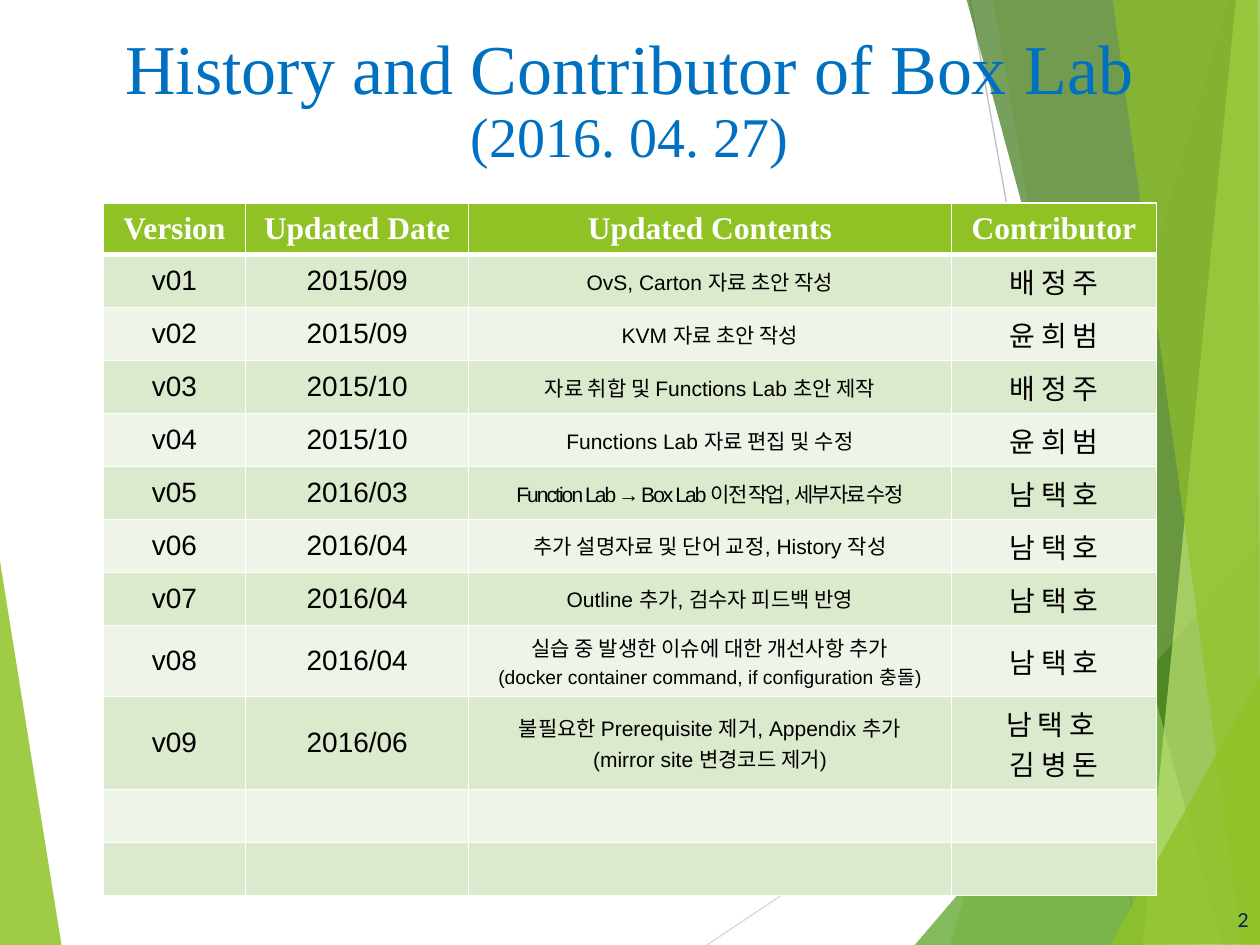
from lxml import etree
from pptx import Presentation
from pptx.dml.color import RGBColor
from pptx.enum.shapes import MSO_CONNECTOR
from pptx.enum.text import MSO_ANCHOR, MSO_AUTO_SIZE, PP_ALIGN
from pptx.oxml.ns import qn
from pptx.util import Inches, Pt

GREEN = RGBColor(0x90, 0xC2, 0x26)
MID_GREEN = RGBColor(0x54, 0xA0, 0x21)
DARK_GREEN = RGBColor(0x3F, 0x78, 0x19)
LIME = RGBColor(0xC0, 0xE4, 0x74)
BAND_DARK = RGBColor(0xDB, 0xE9, 0xCD)
BAND_LIGHT = RGBColor(0xEE, 0xF4, 0xE8)
LIGHT_GRAY = RGBColor(0xD9, 0xD9, 0xD9)
GRAY = RGBColor(0xBF, 0xBF, 0xBF)
BLUE = RGBColor(0x00, 0x70, 0xC0)
NAVY = RGBColor(0x00, 0x20, 0x60)
WHITE = RGBColor(0xFF, 0xFF, 0xFF)
BLACK = RGBColor(0x00, 0x00, 0x00)


def add_text(paragraph, text, size, font_name, color, bold=False, align=PP_ALIGN.CENTER):
    paragraph.alignment = align
    run = paragraph.add_run()
    run.text = text
    run.font.size = Pt(size)
    run.font.name = font_name
    run.font.bold = bold
    run.font.color.rgb = color
    return run


def add_border(cell, side, width):
    border = etree.SubElement(cell._tc.get_or_add_tcPr(), qn(f"a:ln{side}"), w=str(Pt(width)))
    fill = etree.SubElement(border, qn("a:solidFill"))
    etree.SubElement(fill, qn("a:srgbClr"), val=str(WHITE))


presentation = Presentation()
presentation.slide_width = Inches(10)
presentation.slide_height = Inches(7.5)
slide = presentation.slides.add_slide(presentation.slide_layouts[5])

# Background facets: colour, opacity in percent, corners
left_facet = (GREEN, 85, [(-0.01, 4.39), (0.49, 7.51), (-0.01, 7.5)])
right_facets = [
    (GREEN, 30, [(9.75, 0), (7.54, 7.5), (10.02, 7.51), (10.01, 0.01)]),
    (GREEN, 20, [(7.88, -0.01), (9.19, 7.5), (10.01, 7.5), (10.01, -0.01)]),
    (MID_GREEN, 72, [(7.26, 7.5), (10, 4.29), (10.01, 7.5)]),
    (DARK_GREEN, 70, [(7.67, -0.01), (9.7, 7.5), (10.01, 7.49), (10.01, -0.01)]),
    (LIME, 70, [(9.81, -0.01), (9.07, 7.5), (10.01, 7.5), (10, -0.01)]),
    (GREEN, 65, [(8.83, -0.01), (9.86, 7.5), (10, 7.5), (9.98, -0.01)]),
    (GREEN, 80, [(8.81, 7.5), (10.01, 5.35), (10.01, 7.49)]),
]
background = slide.shapes.add_group_shape()

# Thin lines behind the facets
for color, start, end in [
    (LIGHT_GRAY, (5.61, 7.5), (10.01, 4.57)),
    (GRAY, (7.7, 0), (9.04, 7.5)),
]:
    connector = background.shapes.add_connector(
        MSO_CONNECTOR.STRAIGHT, *map(Inches, start + end))
    connector.line.color.rgb = color
    connector.line.width = Pt(0.75)
    etree.SubElement(connector._element.spPr, qn("a:effectLst"))

for color, opacity, corners in [left_facet] + right_facets:
    points = [(Inches(x), Inches(y)) for x, y in corners]
    builder = background.shapes.build_freeform(*points[0], scale=1.0)
    builder.add_line_segments(points[1:], close=True)
    facet = builder.convert_to_shape()
    facet.shadow.inherit = False
    facet.line.fill.background()
    facet.fill.solid()
    facet.fill.fore_color.rgb = color
    color_element = facet._element.spPr.find(qn("a:solidFill"))[0]
    etree.SubElement(color_element, qn("a:alpha"), val=str(opacity * 1000))

# Title, brought in front of the background
title = slide.shapes.title
slide.shapes._spTree.append(title._element)
title.left, title.top, title.width, title.height = map(Inches, (0.44, 0.35, 9.11, 0.92))
title_frame = title.text_frame
title_frame.auto_size = MSO_AUTO_SIZE.NONE
title_frame.vertical_anchor = MSO_ANCHOR.MIDDLE
title_lines = [("History and Contributor of Box Lab", 40), ("(2016. 04. 27)", 32)]
for index, (text, size) in enumerate(title_lines):
    paragraph = title_frame.add_paragraph() if index else title_frame.paragraphs[0]
    paragraph.line_spacing = 0.9
    paragraph.space_before = Pt(0)
    add_text(paragraph, text, size, "Times New Roman", BLUE)

# Version history table; a line break in a cell starts a new paragraph
history = [
    ("Version", "Updated Date", "Updated Contents", "Contributor"),
    ("v01", "2015/09", "OvS, Carton 자료 초안 작성", "배 정 주"),
    ("v02", "2015/09", "KVM 자료 초안 작성", "윤 희 범"),
    ("v03", "2015/10", "자료 취합 및 Functions Lab 초안 제작", "배 정 주"),
    ("v04", "2015/10", "Functions Lab 자료 편집 및 수정", "윤 희 범"),
    ("v05", "2016/03", "Function Lab → Box Lab 이전 작업, 세부자료 수정", "남 택 호"),
    ("v06", "2016/04", "추가 설명자료 및 단어 교정, History 작성", "남 택 호"),
    ("v07", "2016/04", "Outline 추가, 검수자 피드백 반영", "남 택 호"),
    ("v08", "2016/04", "실습 중 발생한 이슈에 대한 개선사항 추가\n"
     "(docker container command, if configuration 충돌)", "남 택 호"),
    ("v09", "2016/06", "불필요한 Prerequisite 제거, Appendix 추가\n"
     "(mirror site 변경코드 제거)", "남 택 호 \n김 병 돈"),
    ("", "", "", ""),
    ("", "", "", ""),
]
column_widths = [1.13, 1.77, 3.83, 1.63]
row_heights = [0.41] + [0.42] * 7 + [0.56, 0.74] + [0.42] * 2
table = slide.shapes.add_table(
    len(history), len(column_widths), Inches(0.82), Inches(1.61),
    Inches(sum(column_widths)), Inches(sum(row_heights))).table
for column, width in zip(table.columns, column_widths):
    column.width = Inches(width)
for row, height in zip(table.rows, row_heights):
    row.height = Inches(height)

for row_index, entry in enumerate(history):
    is_header = row_index == 0
    for column_index, content in enumerate(entry):
        cell = table.cell(row_index, column_index)
        cell.vertical_anchor = MSO_ANCHOR.MIDDLE
        for side in "LRTB":
            thick = (row_index, side) in [(0, "B"), (1, "T")]
            add_border(cell, side, 3 if thick else 1)
        cell.fill.solid()
        band = BAND_DARK if row_index % 2 else BAND_LIGHT
        cell.fill.fore_color.rgb = GREEN if is_header else band
        if not content:
            continue
        for line_index, text in enumerate(content.split("\n")):
            frame = cell.text_frame
            paragraph = frame.add_paragraph() if line_index else frame.paragraphs[0]
            if is_header:
                add_text(paragraph, text, 18, "Times New Roman", WHITE, bold=True)
                continue
            size = 12 if column_index == 2 else 16
            if text.startswith("(docker"):
                size = 11
            run = add_text(paragraph, text, size, "Arial", BLACK)
            if text.startswith("Function Lab"):
                run.font._element.set("spc", "-110")

# Slide number
number_box = slide.shapes.add_textbox(Inches(9.45), Inches(7.1), Inches(0.56), Inches(0.4))
number_frame = number_box.text_frame
number_frame.word_wrap = True
number_frame.vertical_anchor = MSO_ANCHOR.MIDDLE
add_text(number_frame.paragraphs[0], "2", 11, "Lato", NAVY, align=PP_ALIGN.RIGHT)

presentation.save("out.pptx")
